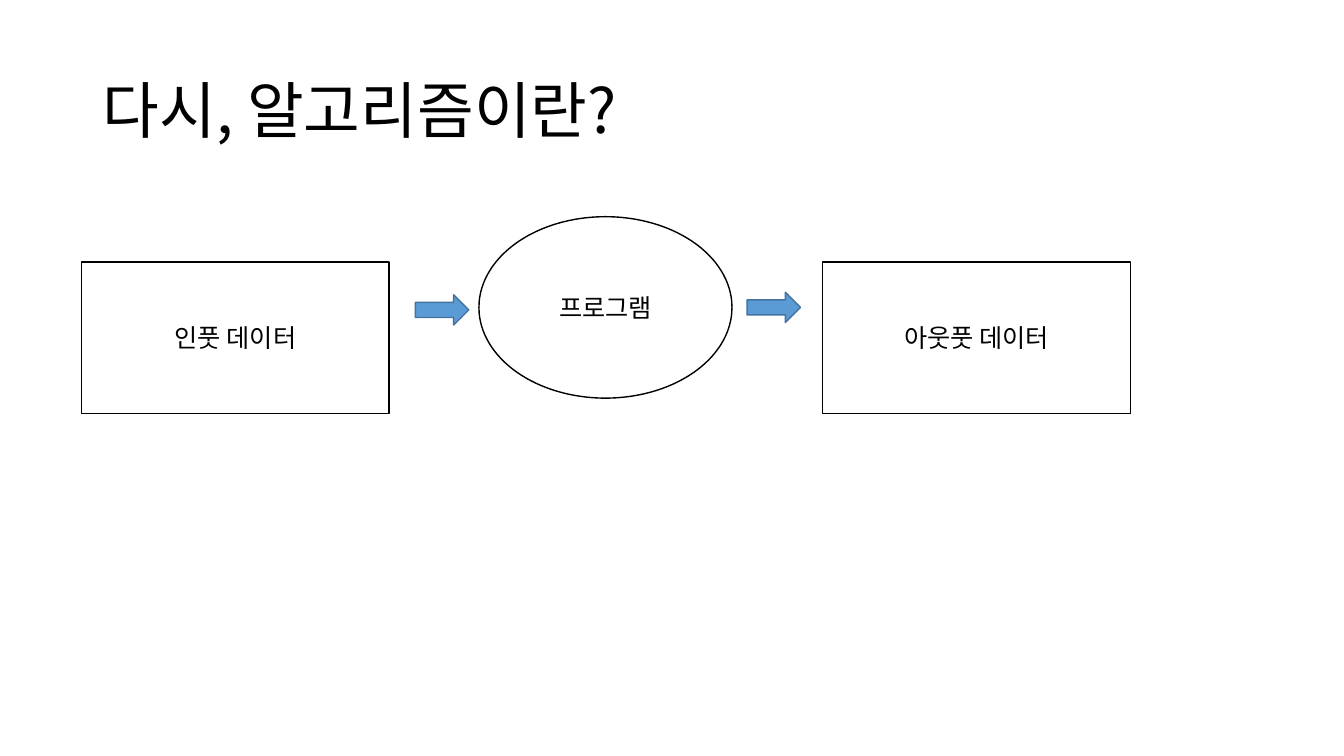
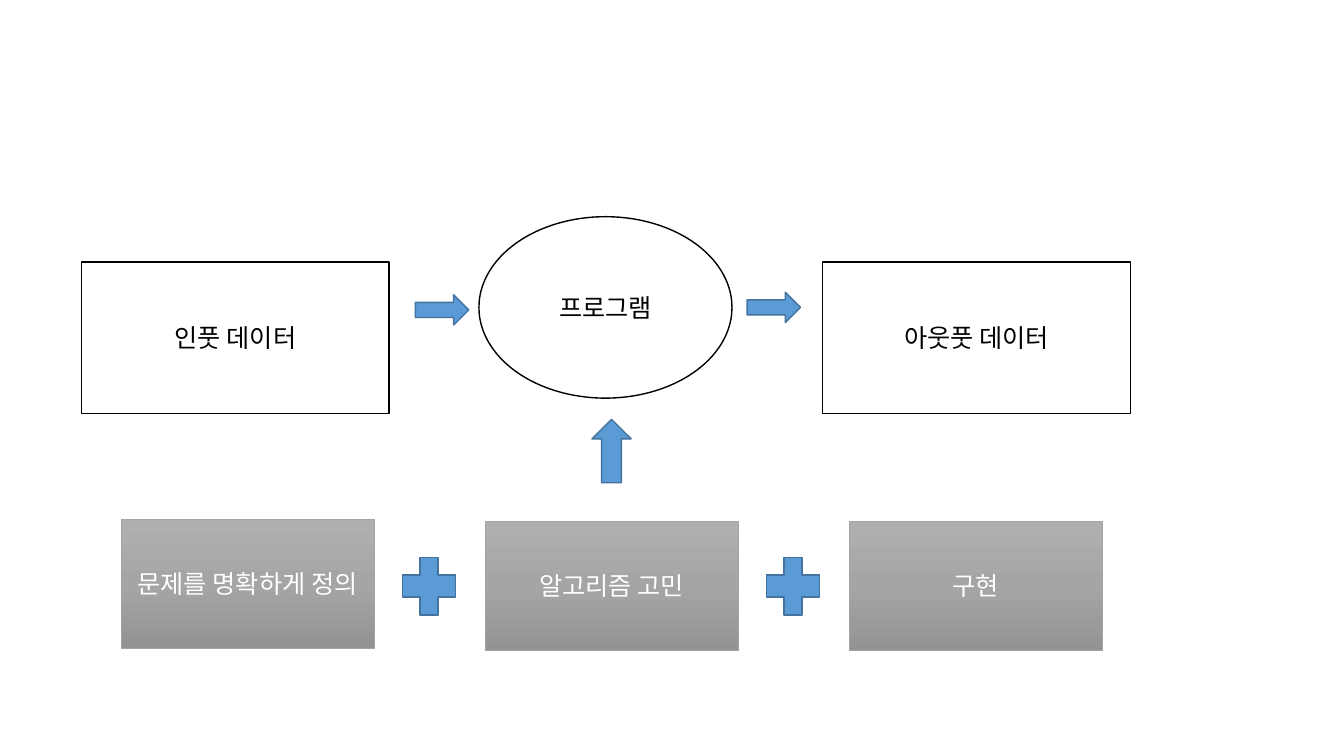
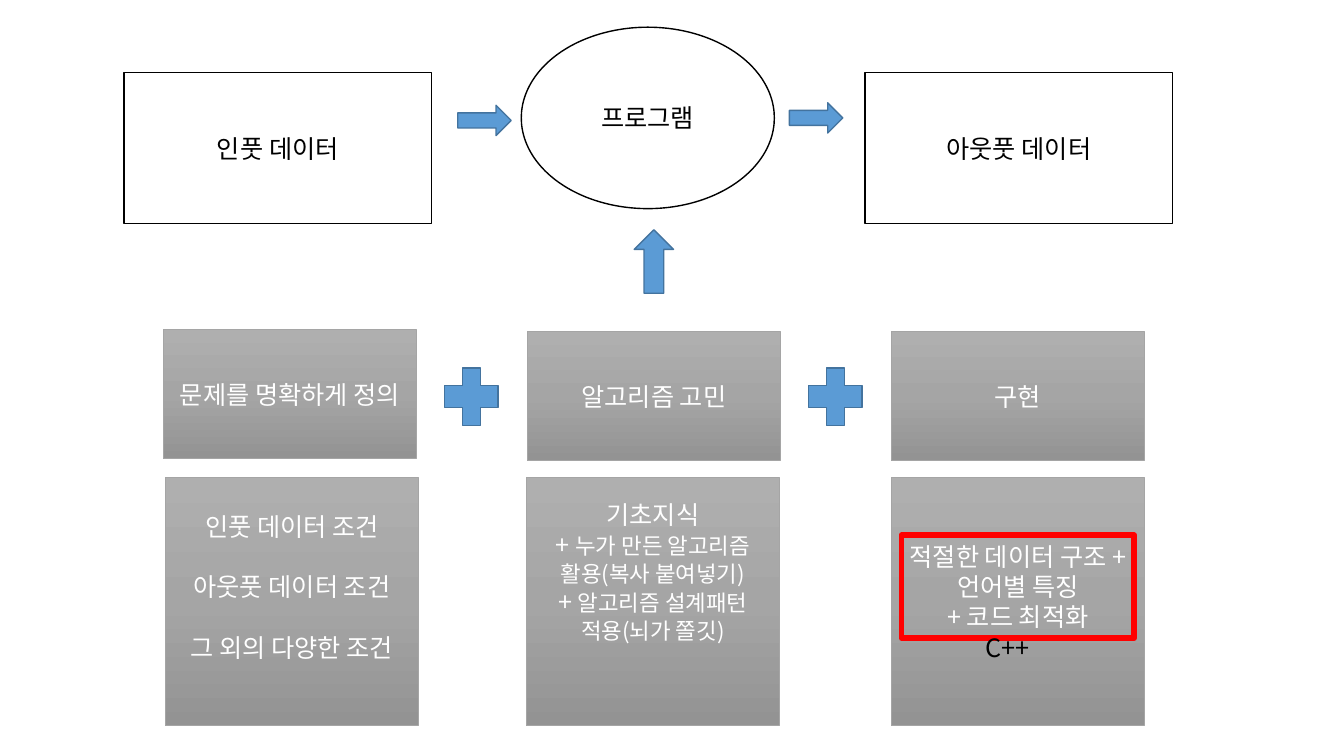
"""Three slides that explain what an algorithm is, built on a 75-row grid."""
from copy import deepcopy
from dataclasses import dataclass

from lxml import etree
from pptx import Presentation
from pptx import util as u
from pptx.dml.color import RGBColor
from pptx.enum import shapes, text
from pptx.oxml import ns

KIND = shapes.MSO_SHAPE
PAGE_WIDTH, PAGE_HEIGHT = u.Inches(13.33), u.Inches(7.5)
CELL = PAGE_HEIGHT / 75


@dataclass(frozen=True)
class Theme:
    """Colours, font and type sizes of the deck."""
    font: str = "Noto Sans CJK KR"
    title: int = 44
    body: int = 18
    small: int = 16
    blank_line: float = 21.6
    ink: str = "000000"
    paper: str = "FFFFFF"
    accent: str = "5B9BD5"
    accent_edge: str = "43739E"
    panel_edge: str = "A5A5A5"
    panel: tuple = ((0, "AFAFAF"), (0.5, "A5A5A5"), (1, "939393"))
    alert: str = "FF0000"


THEME = Theme()


@dataclass(frozen=True)
class Box:
    """A rectangle measured in grid cells."""
    col: float
    row: float
    cols: float
    rows: float

    def inner(self, col, row, cols, rows):
        """Return a box placed relative to this one."""
        return Box(self.col + col, self.row + row, cols, rows)

    def emu(self):
        """Return left, top, width and height as slide lengths."""
        return [u.Emu(round(n * CELL)) for n in (self.col, self.row, self.cols, self.rows)]


def rgb(code):
    """Turn a hex code into a colour."""
    return RGBColor.from_string(code)


def style_run(run, size, color):
    """Set font, size and colour for Latin and Korean letters."""
    run.font.size = u.Pt(size)
    run.font.color.rgb = rgb(color)
    run.font.name = THEME.font
    korean = etree.SubElement(run._r.get_or_add_rPr(), ns.qn("a:ea"))
    korean.set("typeface", THEME.font)


def write(frame, lines, color, align=text.PP_ALIGN.CENTER, gap=0):
    """Fill a frame with lines, each a list of (words, size) pieces."""
    frame.word_wrap = True
    for number, pieces in enumerate(lines):
        line = frame.paragraphs[0] if number == 0 else frame.add_paragraph()
        line.alignment = align
        line.space_after = u.Pt(gap)
        for words, size in pieces:
            run = line.add_run()
            run.text = words
            style_run(run, size, color)


def draw(slide, kind, box, fill, edge, weight=1):
    """Add a preset shape with a plain fill, or none, and an outline."""
    shape = slide.shapes.add_shape(kind, *box.emu())
    shape.shadow.inherit = False
    if fill:
        shape.fill.solid()
        shape.fill.fore_color.rgb = rgb(fill)
    else:
        shape.fill.background()
    shape.line.color.rgb = rgb(edge)
    shape.line.width = u.Pt(weight)
    return shape


def draw_sign(slide, kind, box):
    """Add an arrow or plus sign in the accent colour."""
    return draw(slide, kind, box, THEME.accent, THEME.accent_edge)


def draw_panel(slide, box, lines, gap=0, lift=0):
    """Add a grey gradient panel whose text is lifted by blank lines."""
    panel = draw(slide, KIND.RECTANGLE, box, None, THEME.panel_edge, 0.5)
    panel.fill.gradient()
    panel.fill.gradient_angle = 270
    stops = panel.element.spPr.find(".//" + ns.qn("a:gsLst"))
    stops.insert(1, deepcopy(stops[0]))
    for stop, (position, color) in zip(panel.fill.gradient_stops, THEME.panel):
        stop.position = position
        stop.color.rgb = rgb(color)
    frame = panel.text_frame
    frame.margin_bottom = u.Inches(0.05) + u.Pt(lift * THEME.blank_line)
    write(frame, lines, THEME.paper, gap=gap)


def add_title(slide, box, words):
    """Place and format the title placeholder."""
    title = slide.shapes.title
    title.left, title.top, title.width, title.height = box.emu()
    frame = title.text_frame
    frame.vertical_anchor = text.MSO_ANCHOR.MIDDLE
    write(frame, [[(words, THEME.title)]], THEME.ink, text.PP_ALIGN.LEFT)
    frame.paragraphs[0].line_spacing = 0.9


def add_flow(slide, box):
    """Draw input, program and output joined by arrows."""
    data_cols, data_rows = 30.5, 15
    data_row = box.rows - data_rows
    stages = (
        (KIND.RECTANGLE, "인풋 데이터", (0, data_row, data_cols, data_rows)),
        (KIND.OVAL, "프로그램", (39.4, 0, 25.1, 18)),
        (KIND.RECTANGLE, "아웃풋 데이터", (box.cols - data_cols, data_row, data_cols, data_rows)),
    )
    for kind, label, place in stages:
        stage = draw(slide, kind, box.inner(*place), THEME.paper, THEME.ink)
        write(stage.text_frame, [[(label, THEME.body)]], THEME.ink)
    for col, row in ((33.1, 7.75), (66, 7.5)):
        draw_sign(slide, KIND.RIGHT_ARROW, box.inner(col, row, 5.3, 3))


def add_steps(slide, box):
    """Draw three steps joined by plus signs, with an arrow upwards."""
    draw_sign(slide, KIND.UP_ARROW, box.inner(46.7, 0, 3.9, 6.3))
    pitch = 36.1
    for number, label in enumerate(("문제를 명확하게 정의", "알고리즘 고민", "구현")):
        row = 10.1 if number else 9.9
        draw_panel(slide, box.inner(number * pitch, row, 25.1, 12.8), [[(label, THEME.body)]])
        if number:
            plus = draw_sign(slide, KIND.CROSS, box.inner(number * pitch - 8.2, 13.7, 5.3, 5.7))
            plus.adjustments[0] = 0.33


def add_details(slide, box):
    """Draw a detail panel under each step and mark the last one."""
    body, small = THEME.body, THEME.small
    conditions = [[(words, body)] for words in
                  ("인풋 데이터 조건", "아웃풋 데이터 조건", "그 외의 다양한 조건")]
    knowledge = [
        [("기초지식", body)],
        [("+ ", body), ("누가 만든 알고리즘 활용(복사 붙여넣기)", small)],
        [("+ ", body), ("알고리즘 설계패턴 적용(뇌가 쫄깃)", small)],
    ]
    coding = [[("적절한 데이터 구조 + 언어별 특징", body)], [("+ 코드 최적화", body)]]
    columns = ((0, conditions, THEME.blank_line, 1), (35.8, knowledge, 0, 2), (72, coding, 0, 1))
    for col, lines, gap, lift in columns:
        panel = box.inner(col, 0, 25.1, box.rows)
        draw_panel(slide, panel, lines, gap, lift)
    draw(slide, KIND.RECTANGLE, panel.inner(1, 5.7, 23.1, 10.2), None, THEME.alert, 4)
    language = slide.shapes.add_textbox(*panel.inner(8.4, 14.8, 14.6, 4).emu())
    write(language.text_frame, [[("C++", body)]], THEME.ink, text.PP_ALIGN.LEFT)


def add_scheme(slide, box):
    """Draw the flow with the steps that feed the program."""
    add_flow(slide, box.inner(0, 0, 104, 19.5))
    add_steps(slide, box.inner(3.9, 20.1, 97.3, 22.9))


def build():
    """Build and save the deck."""
    deck = Presentation()
    deck.slide_width, deck.slide_height = PAGE_WIDTH, PAGE_HEIGHT
    title_only, blank = deck.slide_layouts[5], deck.slide_layouts[6]

    question = deck.slides.add_slide(title_only)
    add_title(question, Box(9.2, 4, 115, 14.5), "다시, 알고리즘이란?")
    add_flow(question, Box(8.1, 21.5, 104, 19.5))

    process = deck.slides.add_slide(blank)
    add_scheme(process, Box(8.1, 21.5, 104, 43))

    breakdown = deck.slides.add_slide(blank)
    whole = Box(12.3, 2.7, 104, 69.3)
    add_scheme(breakdown, whole)
    add_details(breakdown, whole.inner(4.1, 44.7, 97.1, 24.6))

    deck.save("out.pptx")


build()
